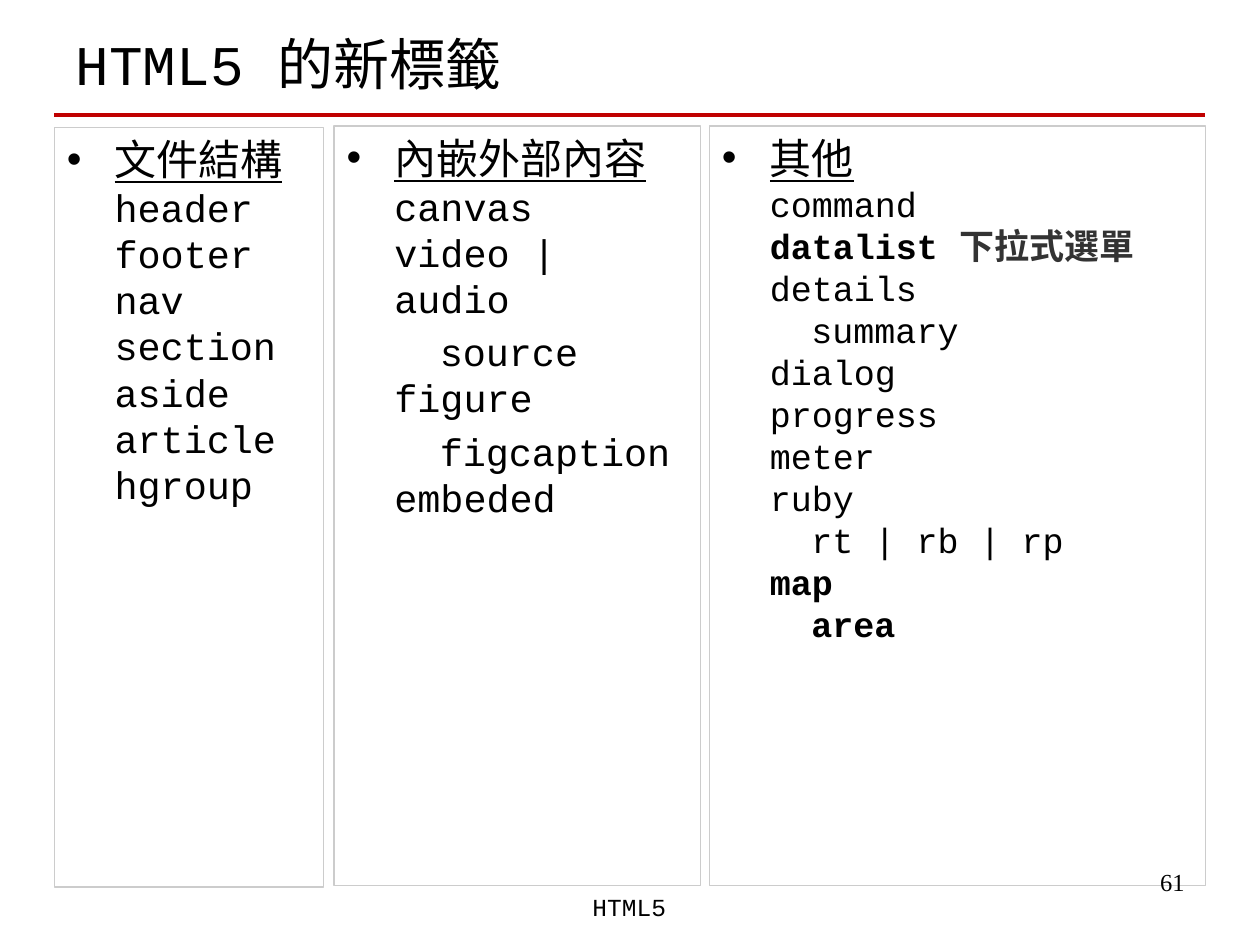
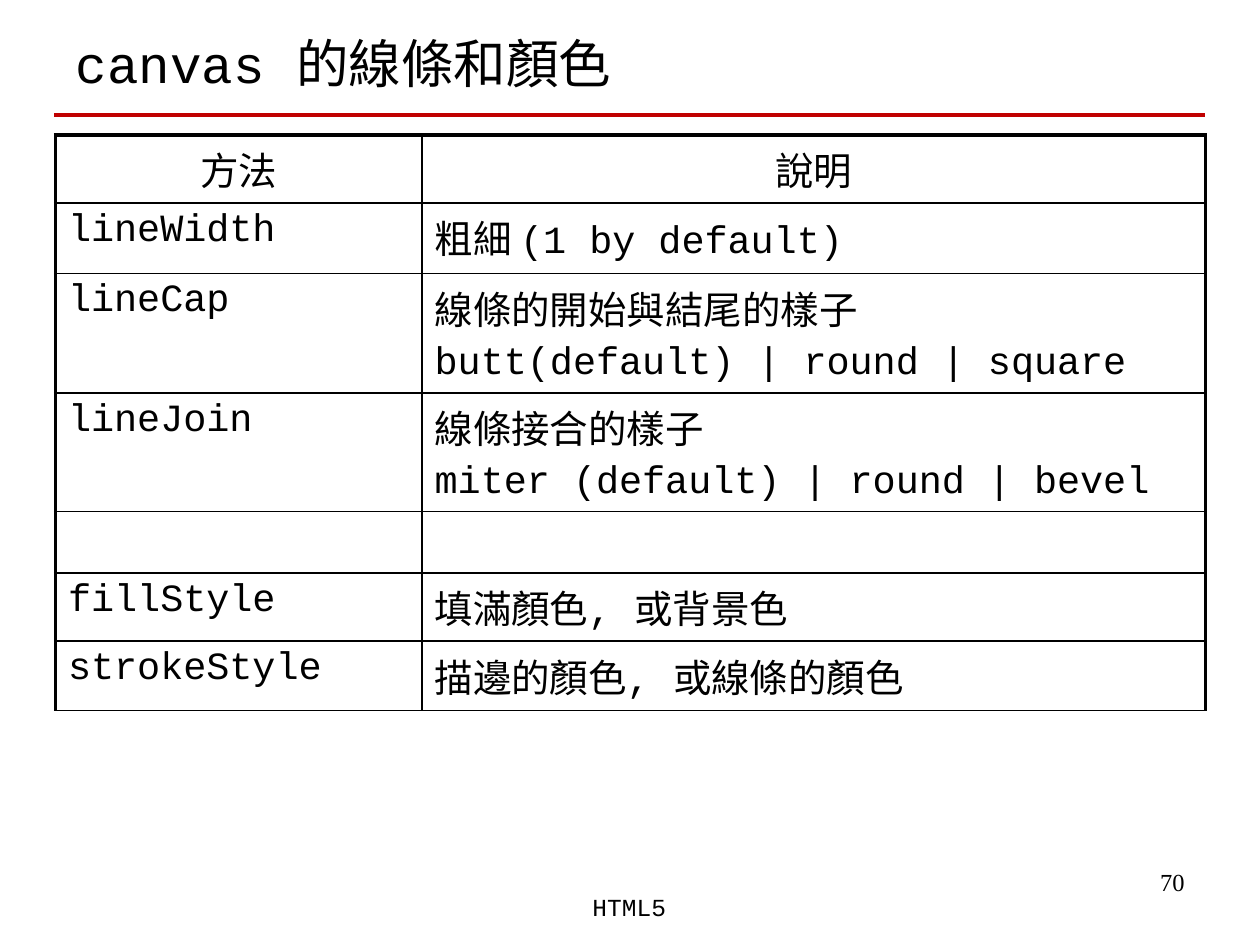
from dataclasses import dataclass

from lxml.etree import SubElement
from pptx import Presentation
from pptx.dml.color import RGBColor
from pptx.enum.shapes import MSO_CONNECTOR as Connector
from pptx.enum.text import MSO_ANCHOR as Anchor, MSO_AUTO_SIZE as AutoSize, PP_ALIGN as Align
from pptx.oxml import parse_xml
from pptx.oxml.ns import nsdecls, qn
from pptx.util import Inches, Pt

BLACK, RED, GRAY, CHARCOAL = "000000", "C00000", "CCCCCC", "333333"
CODE_FONT, PAGE_FONT, NOTE_FONT = "Courier New", "Times New Roman", "Noto Sans CJK TC"
LEFT, RIGHT, RULE_TOP = 0.43, 9.56, 0.91
HANG = 0.38
THIN, THICK = 1, 2.25
COMPARISON, TITLE_ONLY = 4, 5


@dataclass
class Tag:
    name: str
    nested: bool = False
    bold: bool = False
    note: str = ""
    before: float = 0


@dataclass
class TagColumn:
    left: float
    top: float
    width: float
    heading: str
    size: int
    nested_indent: float
    tags: list[Tag]


TAG_COLUMNS = [
    TagColumn(0.43, 1.01, 2.14, "文件結構", 22, 0.73, [
        Tag(name) for name in
        ("header", "footer", "nav", "section", "aside", "article", "hgroup")]),
    TagColumn(2.65, 1, 2.91, "內嵌外部內容", 22, 0.74, [
        Tag("canvas"), Tag("video | audio"),
        Tag("source", nested=True, before=4), Tag("figure"),
        Tag("figcaption", nested=True, before=4), Tag("embeded")]),
    TagColumn(5.63, 1, 3.94, "其他", 20, 0.71, [
        Tag("command"), Tag("datalist ", bold=True, note="下拉式選單"),
        Tag("details"), Tag("summary", nested=True),
        Tag("dialog"), Tag("progress"), Tag("meter"),
        Tag("ruby"), Tag("rt | rb | rp", nested=True),
        Tag("map", bold=True), Tag("area", nested=True, bold=True)]),
]

# Row height, method, lines of its description
METHOD_ROWS = [
    (0.54, "方法", ["說明"]),
    (0.56, "lineWidth", ["粗細 (1 by default)"]),
    (0.95, "lineCap", ["線條的開始與結尾的樣子", "butt(default) | round | square"]),
    (0.94, "lineJoin", ["線條接合的樣子", "miter (default) | round | bevel"]),
    (0.49, "", []),
    (0.54, "fillStyle", ["填滿顏色, 或背景色"]),
    (0.55, "strokeStyle", ["描邊的顏色, 或線條的顏色"]),
]


def rgb(color: str) -> RGBColor:
    return RGBColor.from_string(color)


def set_format(target, **values) -> None:
    for attribute, value in values.items():
        setattr(target, attribute, value)


def add_text(paragraph, text: str, size: float, color: str = BLACK,
             font: str = CODE_FONT, bold: bool = False, underline: bool = False):
    run = paragraph.add_run()
    run.text = text
    set_format(run.font, name=font, size=Pt(size), bold=bold, underline=underline)
    run.font.color.rgb = rgb(color)
    return run


def place(shape, left: float, top: float, width: float, height: float) -> None:
    set_format(shape, left=Inches(left), top=Inches(top),
               width=Inches(width), height=Inches(height))


def add_footer(slide, text: str, left: float, top: float, width: float,
               align: Align, font: str) -> None:
    footer = slide.shapes.add_textbox(
        Inches(left), Inches(top), Inches(width), Inches(0.5))
    footer.text_frame.word_wrap = True
    paragraph = footer.text_frame.paragraphs[0]
    paragraph.alignment = align
    add_text(paragraph, text, 14, font=font)


def add_slide(deck, layout: int, title: str, title_size: int, page: int):
    """Add a slide with the shared title, red rule and footers."""
    slide = deck.slides.add_slide(deck.slide_layouts[layout])
    heading = slide.shapes.title
    place(heading, 0.5, 0.12, 9, 0.76)
    set_format(heading.text_frame, vertical_anchor=Anchor.MIDDLE,
               auto_size=AutoSize.NONE, word_wrap=True)
    paragraph = heading.text_frame.paragraphs[0]
    paragraph.alignment = Align.LEFT
    add_text(paragraph, title, title_size)

    rule = slide.shapes.add_connector(
        Connector.STRAIGHT, Inches(LEFT), Inches(RULE_TOP),
        Inches(RIGHT), Inches(RULE_TOP))
    rule.line.color.rgb = rgb(RED)
    rule.line.width = Pt(THICK)
    SubElement(rule._element.spPr, qn("a:effectLst"))

    add_footer(slide, str(page), 7.17, 6.83, 2.33, Align.RIGHT, PAGE_FONT)
    add_footer(slide, "HTML5", 3.41, 7.03, 3.17, Align.CENTER, CODE_FONT)
    return slide


def format_list_line(paragraph, margin: float, before: float = 0,
                     bullet: str = "") -> None:
    set_format(paragraph, alignment=Align.LEFT, space_before=Pt(before))
    properties = paragraph._p.get_or_add_pPr()
    properties.set("marL", str(Inches(margin)))
    properties.set("indent", str(-Inches(margin) if bullet else 0))
    if bullet:
        SubElement(properties, qn("a:buChar")).set("char", bullet)
    else:
        SubElement(properties, qn("a:buNone"))


def fill_tag_column(body, column: TagColumn) -> None:
    place(body, column.left, column.top, column.width, 6.03)
    body.line.color.rgb = rgb(GRAY)
    body.line.width = Pt(0.75)
    frame = body.text_frame
    set_format(frame, vertical_anchor=Anchor.TOP,
               auto_size=AutoSize.NONE, word_wrap=True)

    heading = frame.paragraphs[0]
    format_list_line(heading, HANG, bullet="•")
    add_text(heading, column.heading, 24, underline=True)
    for tag in column.tags:
        paragraph = frame.add_paragraph()
        margin = column.nested_indent if tag.nested else HANG
        format_list_line(paragraph, margin, tag.before)
        add_text(paragraph, tag.name, column.size, bold=tag.bold)
        if tag.note:
            note = add_text(paragraph, tag.note, column.size, CHARCOAL,
                            NOTE_FONT, bold=True)
            east_asian = SubElement(note._r.get_or_add_rPr(), qn("a:ea"))
            east_asian.set("typeface", NOTE_FONT)


def set_borders(cell, **widths: float) -> None:
    properties = cell._tc.get_or_add_tcPr()
    for position, (side, width) in enumerate(widths.items()):
        properties.insert(position, parse_xml(
            f'<a:ln{side} {nsdecls("a")} w="{Pt(width)}"><a:solidFill>'
            f'<a:srgbClr val="{BLACK}"/></a:solidFill></a:ln{side}>'))


def fill_cell(cell, lines: list[str], align: Align) -> None:
    cell.fill.background()
    for index, line in enumerate(lines):
        frame = cell.text_frame
        paragraph = frame.add_paragraph() if index else frame.paragraphs[0]
        set_format(paragraph, alignment=align, space_before=Pt(4 if index else 0))
        add_text(paragraph, line, 22)


def add_method_table(slide) -> None:
    widths = (2.91, 6.22)
    heights = [height for height, _, _ in METHOD_ROWS]
    table = slide.shapes.add_table(
        len(METHOD_ROWS), len(widths), Inches(0.44), Inches(1.07),
        Inches(sum(widths)), Inches(sum(heights))).table
    set_format(table, first_row=False, horz_banding=False)
    for column, width in zip(table.columns, widths):
        column.width = Inches(width)

    for row, (height, method, description) in enumerate(METHOD_ROWS):
        table.rows[row].height = Inches(height)
        align = Align.LEFT if row else Align.CENTER
        for column, lines in enumerate(([method] if method else [], description)):
            cell = table.cell(row, column)
            fill_cell(cell, lines, align)
            set_borders(cell, L=THIN if column else THICK,
                        R=THICK if column else THIN,
                        T=THIN if row else THICK, B=THIN)


def main() -> None:
    deck = Presentation()
    set_format(deck, slide_width=Inches(10), slide_height=Inches(7.5))

    # New tags in three lists
    tags_slide = add_slide(deck, COMPARISON, "HTML5 的新標籤", 32, 61)
    _, *bodies, spare = tags_slide.placeholders
    for body, column in zip(bodies, TAG_COLUMNS):
        fill_tag_column(body, column)
    spare._element.getparent().remove(spare._element)

    # Canvas lines and colours
    canvas_slide = add_slide(deck, TITLE_ONLY, "canvas 的線條和顏色", 30, 70)
    add_method_table(canvas_slide)

    deck.save("out.pptx")


if __name__ == "__main__":
    main()
